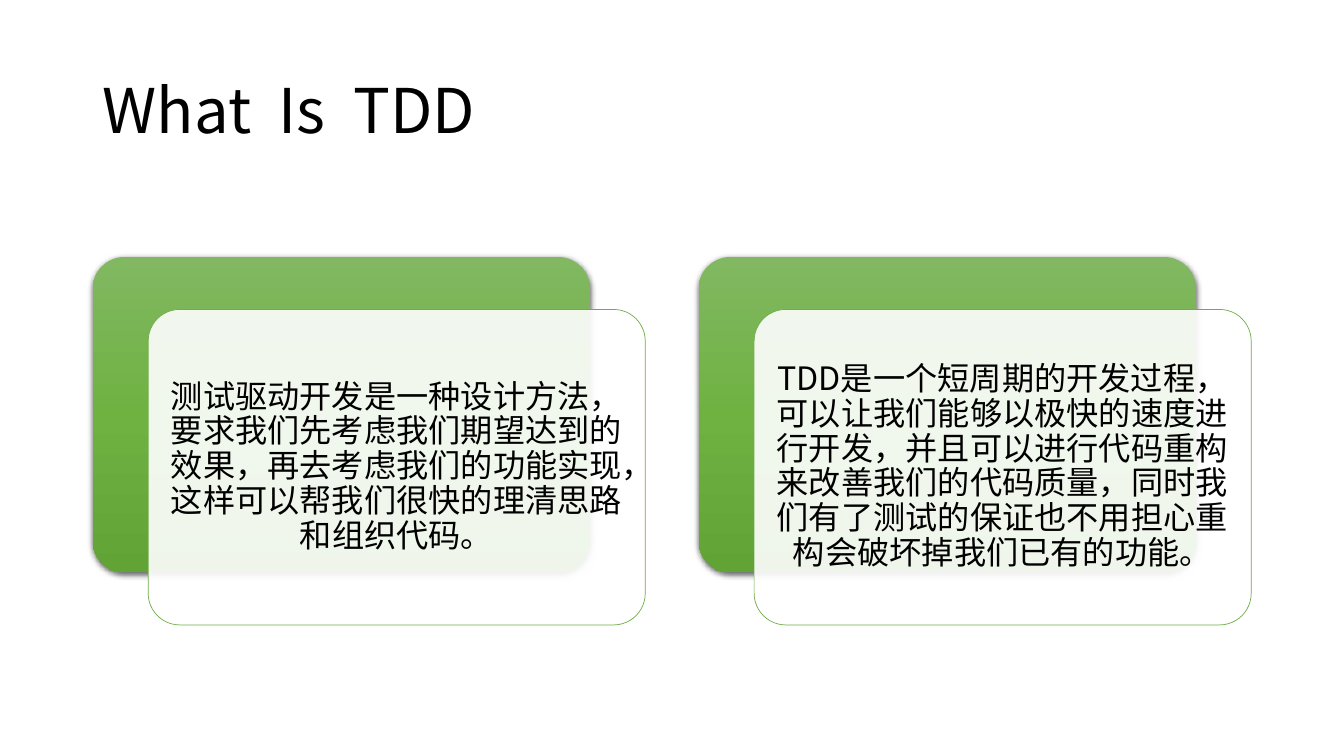
import copy

import pptx
import pptx.dml.color
import pptx.enum.shapes
import pptx.enum.text
import pptx.oxml.ns
import pptx.util
from lxml import etree

TITLE = "What  Is  TDD"
DEFINITIONS = [
    "测试驱动开发是一种设计方法，要求我们先考虑我们期望达到的效果，再去考虑我们的功能实现，"
    "这样可以帮我们很快的理清思路和组织代码。",
    "TDD是一个短周期的开发过程，可以让我们能够以极快的速度进行开发，并且可以进行代码重构来"
    "改善我们的代码质量，同时我们有了测试的保证也不用担心重构会破坏掉我们已有的功能。",
]

FONT = "Noto Sans CJK SC"
COLORS = {
    "text": "000000",
    "panel": "FFFFFF",
    "outline": "70AD47",
    "shadow": "000000",
    "card_top": "81B861",
    "card_middle": "6FB242",
    "card_bottom": "62A336",
}

SLIDE_W, SLIDE_H = 13.33, 7.5
MARGIN = 0.92
CONTENT_W = SLIDE_W - 2 * MARGIN
CARD_W, CARD_H = 4.93, 3.13
CARD_TOP = 0.34 * SLIDE_H
PANEL_DX, PANEL_DY = 0.55, 0.52
# The last panel ends at the right margin.
COLUMN_STEP = (CONTENT_W - CARD_W - PANEL_DX) / (len(DEFINITIONS) - 1)

qn = pptx.oxml.ns.qn
Inches = pptx.util.Inches
Align = pptx.enum.text.PP_ALIGN


def rgb(name):
    return pptx.dml.color.RGBColor.from_string(COLORS[name])


def add_child(parent, tag, **attributes):
    return etree.SubElement(parent, qn(tag), attributes)


def write_text(shape, text, size, align, inset_x=0.1, inset_y=0.1):
    frame = shape.text_frame
    frame.word_wrap = True
    frame.auto_size = pptx.enum.text.MSO_AUTO_SIZE.NONE
    frame.vertical_anchor = pptx.enum.text.MSO_ANCHOR.MIDDLE
    frame.margin_left = frame.margin_right = Inches(inset_x)
    frame.margin_top = frame.margin_bottom = Inches(inset_y)
    paragraph = frame.paragraphs[0]
    paragraph.alignment = align
    paragraph.line_spacing = 0.9
    run = paragraph.add_run()
    run.text = text
    run.font.size = pptx.util.Pt(size)
    run.font.name = FONT
    run.font.color.rgb = rgb("text")
    add_child(run.font._element, "a:ea", typeface=FONT)


def add_rounded(slide, left, top):
    shape = slide.shapes.add_shape(
        pptx.enum.shapes.MSO_SHAPE.ROUNDED_RECTANGLE,
        Inches(left), Inches(top), Inches(CARD_W), Inches(CARD_H))
    shape.adjustments[0] = 0.1
    shape.shadow.inherit = False
    return shape


def add_card(slide, left, top):
    """Add the green card with a three-colour gradient and a soft shadow."""
    card = add_rounded(slide, left, top)
    card.line.fill.background()
    card.fill.gradient()
    card.fill.gradient_angle = 270
    stop_list = card._element.spPr.find(".//" + qn("a:gsLst"))
    stop_list.insert(1, copy.deepcopy(stop_list[0]))
    names = ("card_top", "card_middle", "card_bottom")
    for index, (stop, name) in enumerate(zip(card.fill.gradient_stops, names)):
        stop.position = index / 2
        stop.color.rgb = rgb(name)

    effects = card._element.spPr.find(qn("a:effectLst"))
    shadow = add_child(
        effects, "a:outerShdw", blurRad=str(pptx.util.Pt(4.5)),
        dist=str(pptx.util.Pt(1.5)), dir="5400000", algn="ctr", rotWithShape="0")
    shade = add_child(shadow, "a:srgbClr", val=COLORS["shadow"])
    add_child(shade, "a:alpha", val="63000")


def add_panel(slide, left, top, text):
    """Add the translucent white panel that holds the text."""
    panel = add_rounded(slide, left, top)
    panel.fill.solid()
    panel.fill.fore_color.rgb = rgb("panel")
    tint = panel._element.spPr.find(qn("a:solidFill")).find(qn("a:srgbClr"))
    add_child(tint, "a:alpha", val="90000")
    panel.line.color.rgb = rgb("outline")
    panel.line.width = pptx.util.Pt(0.5)
    write_text(panel, text, size=23, align=Align.CENTER)


def main():
    deck = pptx.Presentation()
    deck.slide_width, deck.slide_height = Inches(SLIDE_W), Inches(SLIDE_H)
    slide = deck.slides.add_slide(deck.slide_layouts[5])

    title = slide.shapes.title
    title.left, title.top = Inches(MARGIN), Inches(0.4)
    title.width, title.height = Inches(CONTENT_W), Inches(1.45)
    write_text(title, TITLE, size=44, align=Align.LEFT, inset_y=0.05)

    for column, definition in enumerate(DEFINITIONS):
        left = MARGIN + column * COLUMN_STEP
        add_card(slide, left, CARD_TOP)
        add_panel(slide, left + PANEL_DX, CARD_TOP + PANEL_DY, definition)

    deck.save("out.pptx")


if __name__ == "__main__":
    main()
